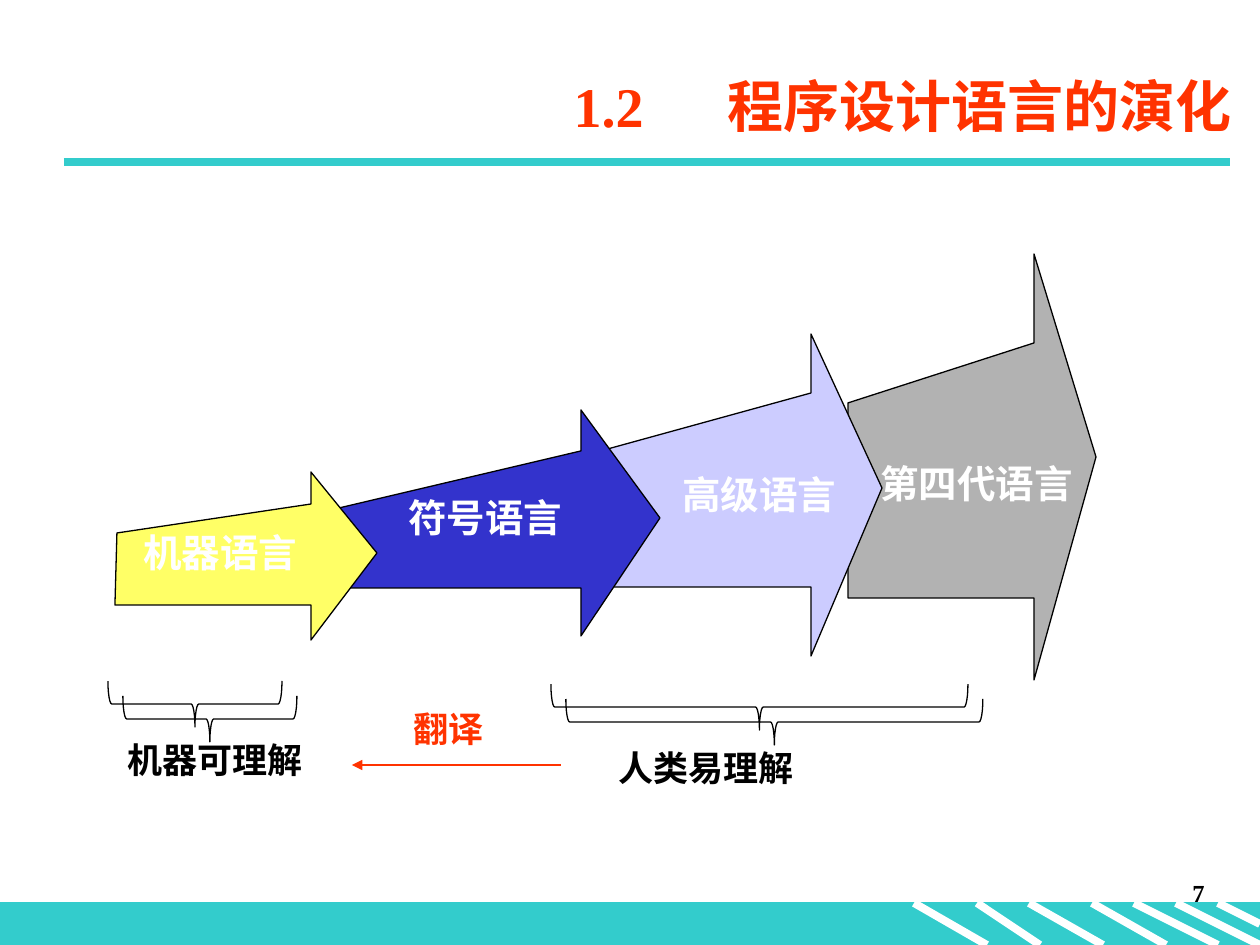
import pptx
import pptx.util
import pptx.dml.color
import pptx.enum.shapes
import pptx.enum.text
import pptx.oxml
import pptx.oxml.ns

SCALE = 914400 / 126
ALIGN = pptx.enum.text.PP_ALIGN
SHAPE = pptx.enum.shapes.MSO_SHAPE
TEAL, RED, WHITE, BLACK = "33CCCC", "FF3300", "FFFFFF", "000000"


def emu(*sizes):
    return [pptx.util.Emu(round(size * SCALE)) for size in sizes]


def color(code):
    return pptx.dml.color.RGBColor.from_string(code)


def node(text):
    space = pptx.oxml.ns.nsdecls("a")
    return pptx.oxml.parse_xml(text.replace("NS", space))


class Deck:
    face = "Times New Roman"
    thin = 0.75

    def __init__(self):
        self.file = pptx.Presentation()
        self.file.slide_width, self.file.slide_height = emu(1260, 945)
        self.slide = self.file.slides.add_slide(self.file.slide_layouts[5])
        self.shapes = self.slide.shapes

    def style(self, font, size, code):
        values = {"name": self.face, "size": pptx.util.Pt(size), "bold": True}
        for key, value in values.items():
            setattr(font, key, value)
        font.color.rgb = color(code)

    def place(self, shape, box):
        for key, value in zip(("left", "top", "width", "height"), emu(*box)):
            setattr(shape, key, value)

    def title(self, box, mark, text):
        shape = self.shapes.title
        self.place(shape, box)
        shape.text_frame.vertical_anchor = pptx.enum.text.MSO_ANCHOR.MIDDLE
        para = shape.text_frame.paragraphs[0]
        para.alignment = ALIGN.RIGHT
        for part in (mark, " ", text):
            run = para.add_run()
            run.text = part
            self.style(run.font, 32, RED)
            if part == " ":
                run.font._element.set("spc", "4000")

    def text(self, box, words, size, code, align=ALIGN.LEFT):
        frame = self.shapes.add_textbox(*emu(*box)).text_frame
        frame.word_wrap = True
        para = frame.paragraphs[0]
        para.alignment = align
        run = para.add_run()
        run.text = words
        self.style(run.font, size, code)

    def paint(self, shape, fill, edge):
        shape.shadow.inherit = False
        if fill:
            shape.fill.solid()
            shape.fill.fore_color.rgb = color(fill)
        else:
            shape.fill.background()
        shape.line.color.rgb = color(edge)
        shape.line.width = pptx.util.Pt(self.thin)

    def rect(self, box, fill):
        self.paint(self.shapes.add_shape(SHAPE.RECTANGLE, *emu(*box)), fill, fill)

    def arrow(self, points, fill):
        path = self.shapes.build_freeform(*points[0], scale=SCALE)
        path.add_line_segments(points[1:], close=True)
        self.paint(path.convert_to_shape(), fill, BLACK)

    def brace(self, left, top, width, height):
        shift = (width - height) / 2
        box = emu(left + shift, top - shift, height, width)
        shape = self.shapes.add_shape(SHAPE.LEFT_BRACE, *box)
        shape.rotation = 270
        self.paint(shape, None, BLACK)
        shape._element.spPr.find(pptx.oxml.ns.qn("a:effectLst")).append(node(
            '<a:outerShdw NS dist="153670" dir="2700000" algn="ctr" '
            'rotWithShape="0"><a:srgbClr val="000000"/></a:outerShdw>'))

    def line(self, ends, code, width, head=False):
        kind = pptx.enum.shapes.MSO_CONNECTOR.STRAIGHT
        shape = self.shapes.add_connector(kind, *emu(*ends))
        shape.line.color.rgb = color(code)
        shape.line.width = pptx.util.Pt(width)
        if head:
            shape.line._get_or_add_ln().append(
                node('<a:tailEnd NS type="triangle"/>'))
        shape._element.spPr.append(node("<a:effectLst NS/>"))


def main():
    deck = Deck()
    deck.title((174, 55, 1071, 100), "1.2", "程序设计语言的演化")

    deck.rect((0, 903, 1260, 42), TEAL)
    stripes = [(914, 987, 945), (977, 1040, 945), (1029, 1103, 945),
               (1092, 1166, 945), (1134, 1218, 945), (1176, 1260, 945),
               (1218, 1260, 924)]
    for start, end, base in stripes:
        deck.line((start, 903, end, base), WHITE, 4.5)
    deck.line((64, 162, 1230, 162), TEAL, 4.5)
    deck.text((955, 872, 262, 63), "7", 14, BLACK, ALIGN.RIGHT)

    stages = [
        ("第四代语言", "B2B2B2", (868, 454, 229, 59),
         (848, 848, 1034, 1096), (598, 403, 343, 254, 457, 680)),
        ("高级语言", "CCCCFF", (670, 465, 197, 59),
         (600, 604, 811, 882), (587, 450, 393, 334, 488, 656)),
        ("符号语言", "3333CC", (396, 488, 194, 59),
         (335, 335, 581, 660), (588, 509, 451, 410, 518, 636)),
        ("机器语言", "FFFF66", (131, 523, 183, 59),
         (115, 117, 311, 377), (605, 533, 504, 472, 553, 640)),
    ]
    for words, fill, box, across, down in stages:
        foot, left, neck, tip = across
        base, top, join, peak, point, low = down
        deck.arrow([(foot, base), (left, top), (neck, join), (neck, peak),
                    (tip, point), (neck, low), (neck, base)], fill)
        deck.text(box, words, 22, WHITE)

    deck.text((115, 732, 229, 55), "机器可理解", 20, BLACK)
    deck.text((606, 740, 318, 55), "人类易理解", 20, BLACK)
    deck.brace(551, 684, 417, 46)
    deck.brace(108, 681, 174, 46)
    deck.text((401, 701, 149, 55), "翻译", 20, RED)
    deck.line((561, 765, 352, 765), RED, deck.thin, head=True)

    deck.file.save("out.pptx")


if __name__ == "__main__":
    main()
